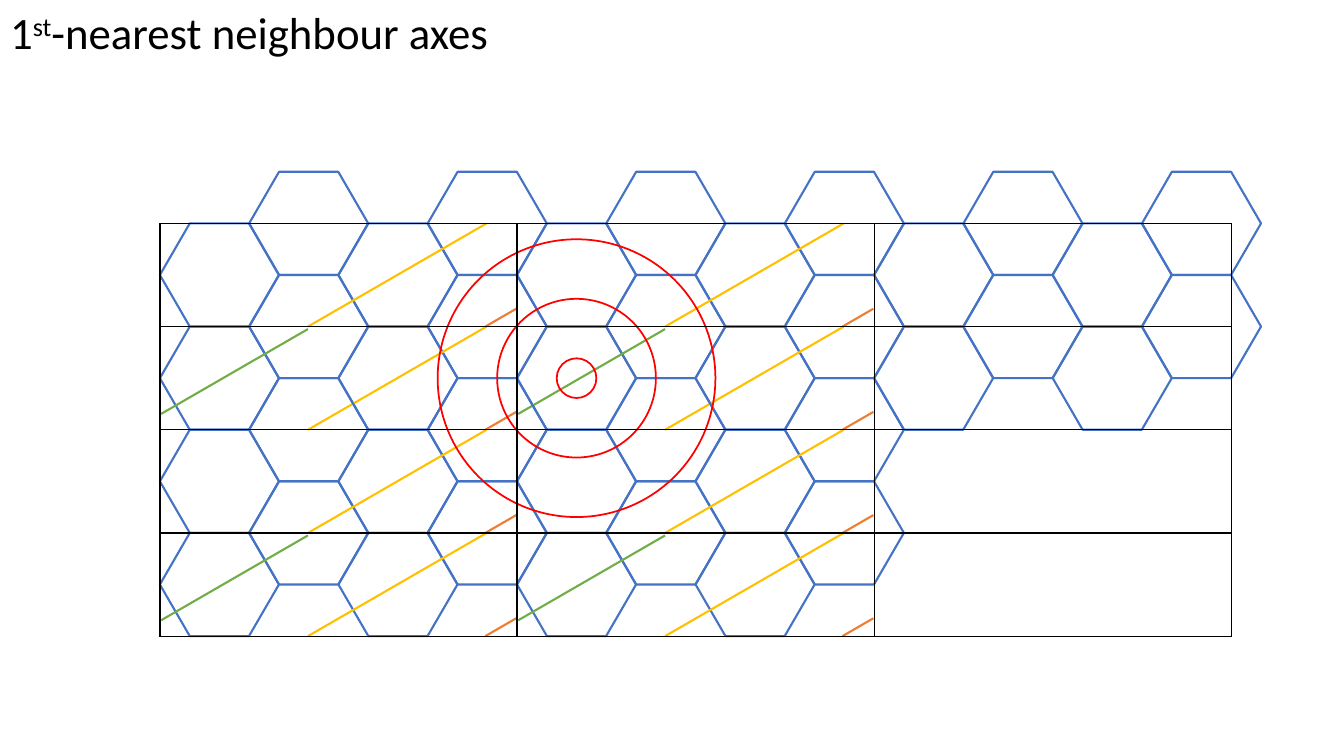
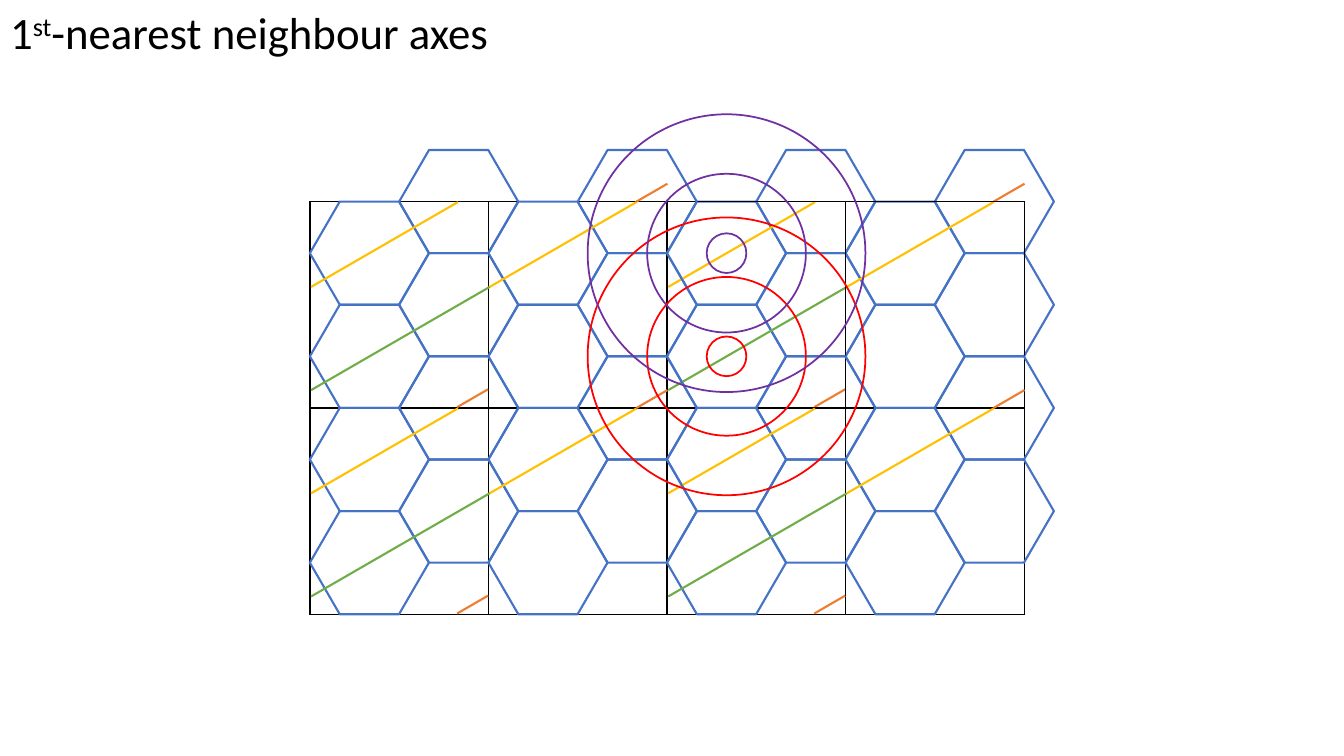
"""Build two slides showing first-nearest neighbour axes on a hexagonal lattice."""
from itertools import product

from lxml.etree import SubElement
from pptx import Presentation
from pptx.dml.color import RGBColor
from pptx.enum.shapes import MSO_CONNECTOR as Connector, MSO_SHAPE as Shape
from pptx.enum.text import MSO_ANCHOR as Anchor, MSO_AUTO_SIZE as AutoSize, PP_ALIGN as Align
from pptx.oxml.ns import qn
from pptx.util import Cm, Pt

BLACK = RGBColor(0x00, 0x00, 0x00)
BLUE = RGBColor(0x44, 0x72, 0xC4)
GREEN = RGBColor(0x70, 0xAD, 0x47)
YELLOW = RGBColor(0xFF, 0xC0, 0x00)
ORANGE = RGBColor(0xED, 0x7D, 0x31)
RED = RGBColor(0xFF, 0x00, 0x00)
PURPLE = RGBColor(0x70, 0x30, 0xA0)

FONT = "Calibri"
TITLE_PARTS = (("1", 0), ("st", 30000), ("-nearest neighbour axes", 0))

# Lattice lengths in centimetres
HEX_WIDTH, HEX_HEIGHT = 3, 2.6
COLUMN_STEP = HEX_WIDTH * 3 / 4
PATCH_WIDTH, PATCH_HEIGHT = 4 * COLUMN_STEP, 2 * HEX_HEIGHT
AXIS_SLOPE = HEX_HEIGHT / 2 / COLUMN_STEP
RING_DIAMETERS = (1, 4, 7)

# Axis segments in a patch: colour, start x, start y, horizontal run
WIDE_AXES = (
    (GREEN, 0.03, 4.8, 3.7),
    (YELLOW, 3.73, 2.6, 4.5),
    (YELLOW, 3.73, 5.2, 4.5),
    (ORANGE, 8.2, 2.6, 0.78),
    (ORANGE, 8.2, 5.2, 0.78),
)
TALL_AXES = (
    (GREEN, 0.03, 4.75, 4.5),
    (YELLOW, 4.53, 2.15, 3.7),
    (YELLOW, 0.03, 2.15, 3.7),
    (ORANGE, 8.23, 0, 0.78),
    (ORANGE, 3.71, 5.18, 0.78),
)


def add_outline(shapes, kind, left, top, width, height, colour, weight):
    """Add an unfilled preset shape and return it."""
    shape = shapes.add_shape(kind, Cm(left), Cm(top), Cm(width), Cm(height))
    shape.shadow.inherit = False
    shape.fill.background()
    shape.line.color.rgb = colour
    shape.line.width = Pt(weight)
    return shape


def add_axis(shapes, left, top, run, colour):
    """Add a segment rising to the right along the neighbour axis."""
    line = shapes.add_connector(
        Connector.STRAIGHT, Cm(left), Cm(top), Cm(left + run), Cm(top - run * AXIS_SLOPE))
    line.line.color.rgb = colour
    line.line.width = Pt(1.5)
    SubElement(line._element.spPr, qn("a:effectLst"))


def patch_origin(lattice, column, row):
    """Return the left and top of a patch in the lattice."""
    left, top = lattice
    return left + column * PATCH_WIDTH, top + row * PATCH_HEIGHT


def add_patch(slide, origin, axes=()):
    """Group eight hexagons and their axis segments at the origin."""
    left, top = origin
    shapes = slide.shapes.add_group_shape().shapes
    for column, row in product(range(4), range(2)):
        hexagon = add_outline(
            shapes, Shape.HEXAGON, left + column * COLUMN_STEP,
            top + (row - column % 2 / 2) * HEX_HEIGHT, HEX_WIDTH, HEX_HEIGHT, BLUE, 1.5)
        hexagon.adjustments[0] = 0.29
    for colour, start_x, start_y, run in axes:
        add_axis(shapes, left + start_x, top + start_y, run, colour)


def add_rings(slide, origin, row, colour):
    """Group rings centred on a hexagon in the first column of a patch."""
    left, top = origin
    centre_x = left + HEX_WIDTH / 2
    centre_y = top + (row + 0.5) * HEX_HEIGHT
    shapes = slide.shapes.add_group_shape().shapes
    for diameter in RING_DIAMETERS:
        add_outline(shapes, Shape.OVAL, centre_x - diameter / 2, centre_y - diameter / 2,
                    diameter, diameter, colour, 1.25)


def style_cell(cell):
    """Give a cell thin black borders and no fill."""
    properties = cell._tc.get_or_add_tcPr()
    for side in ("a:lnL", "a:lnR", "a:lnT", "a:lnB"):
        border = SubElement(properties, qn(side), w=str(Pt(1)))
        fill = SubElement(border, qn("a:solidFill"))
        SubElement(fill, qn("a:srgbClr"), val=str(BLACK))
    cell.fill.background()


def add_cell_grid(slide, lattice, rows, columns, cell_width, cell_height):
    """Add an empty table that marks the unit cells."""
    left, top = lattice
    table = slide.shapes.add_table(
        rows, columns, Cm(left), Cm(top),
        Cm(columns * cell_width), Cm(rows * cell_height)).table
    table.first_row = table.horz_banding = False
    for cell in table.iter_cells():
        style_cell(cell)


def add_titled_slide(presentation):
    """Add a slide with the shared title and return it."""
    slide = presentation.slides.add_slide(presentation.slide_layouts[5])
    title = slide.shapes.title
    title.left, title.top, title.width, title.height = Cm(0), Cm(0), Cm(12.75), Cm(1.62)
    frame = title.text_frame
    frame.word_wrap = False
    frame.auto_size = AutoSize.SHAPE_TO_FIT_TEXT
    frame.vertical_anchor = Anchor.TOP
    paragraph = frame.paragraphs[0]
    paragraph.alignment = Align.LEFT
    for text, baseline in TITLE_PARTS:
        run = paragraph.add_run()
        run.text = text
        run.font.name = FONT
        run.font.size = Pt(32)
        run.font.color.rgb = BLACK
        run._r.get_or_add_rPr().set("baseline", str(baseline))
    return slide


def add_wide_cell_slide(presentation, lattice):
    """Show cells that are as wide as a patch and one hexagon high."""
    slide = add_titled_slide(presentation)
    centre = patch_origin(lattice, 1, 0)
    add_patch(slide, centre, WIDE_AXES)
    add_patch(slide, patch_origin(lattice, 2, 0))
    for column, row in ((0, 0), (0, 1), (1, 1)):
        add_patch(slide, patch_origin(lattice, column, row), WIDE_AXES)
    add_rings(slide, centre, 1, RED)
    add_cell_grid(slide, lattice, 4, 3, PATCH_WIDTH, HEX_HEIGHT)


def add_tall_cell_slide(presentation, lattice):
    """Show cells that are half a patch wide and two hexagons high."""
    slide = add_titled_slide(presentation)
    centre = patch_origin(lattice, 1, 0)
    add_patch(slide, centre, TALL_AXES)
    add_cell_grid(slide, lattice, 2, 4, PATCH_WIDTH / 2, PATCH_HEIGHT)
    for column, row in ((1, 1), (0, 1), (0, 0)):
        add_patch(slide, patch_origin(lattice, column, row), TALL_AXES)
    add_rings(slide, centre, 1, RED)
    add_rings(slide, centre, 0, PURPLE)


def main():
    """Build and save the presentation."""
    presentation = Presentation()
    presentation.slide_width, presentation.slide_height = Cm(33.87), Cm(19.05)
    add_wide_cell_slide(presentation, (4.03, 5.63))
    add_tall_cell_slide(presentation, (7.81, 5.08))
    presentation.save("out.pptx")


main()
